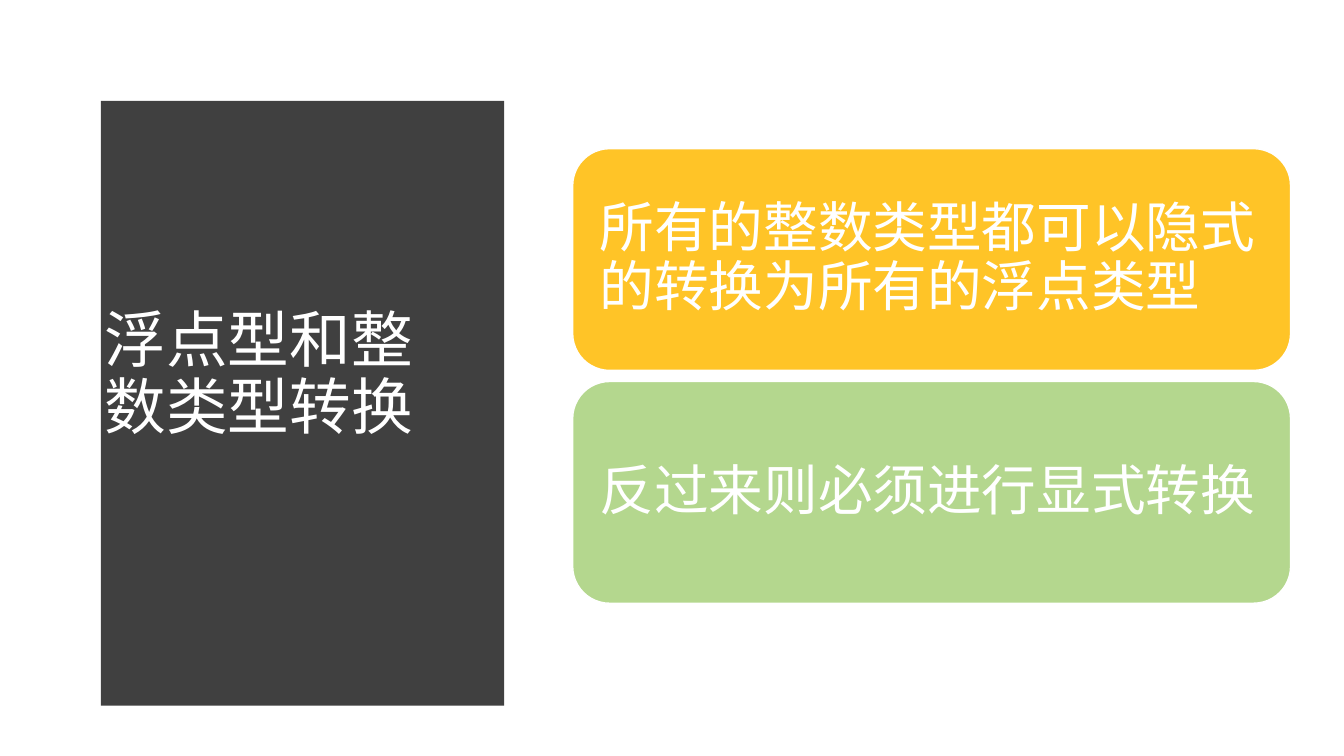
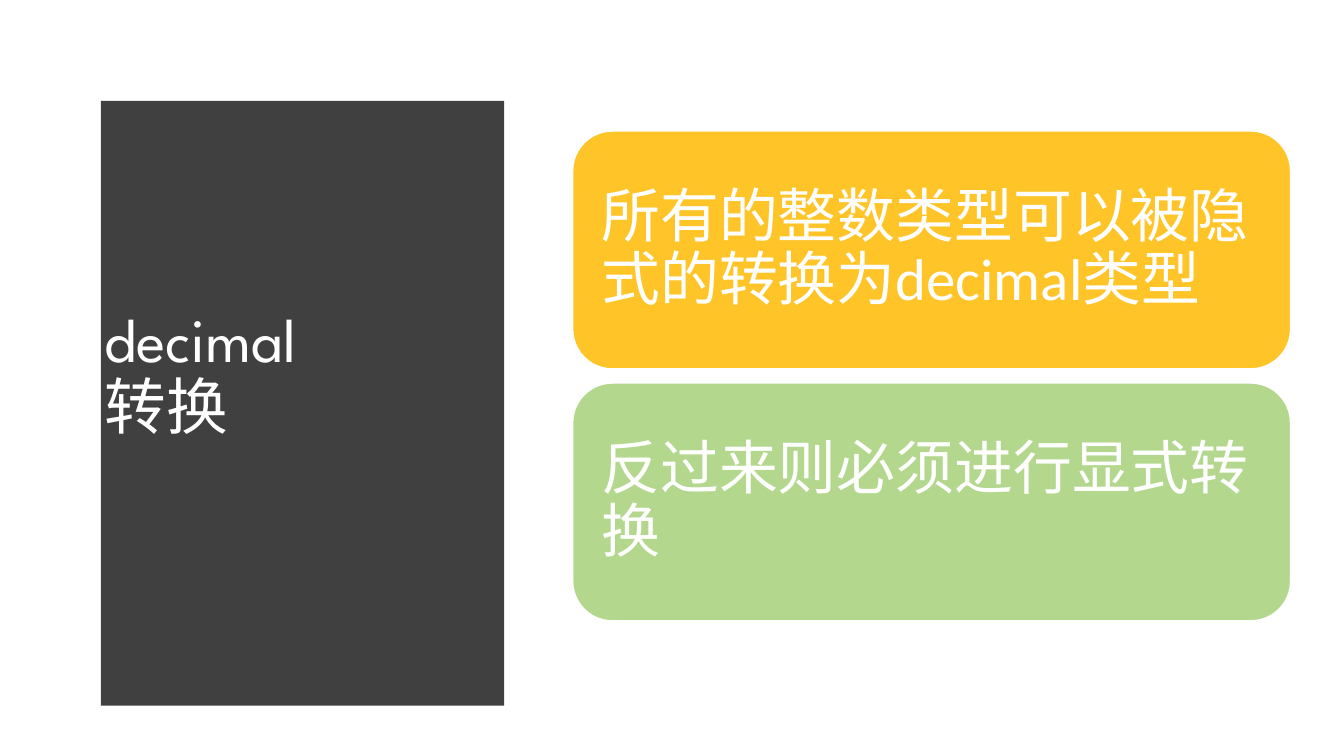
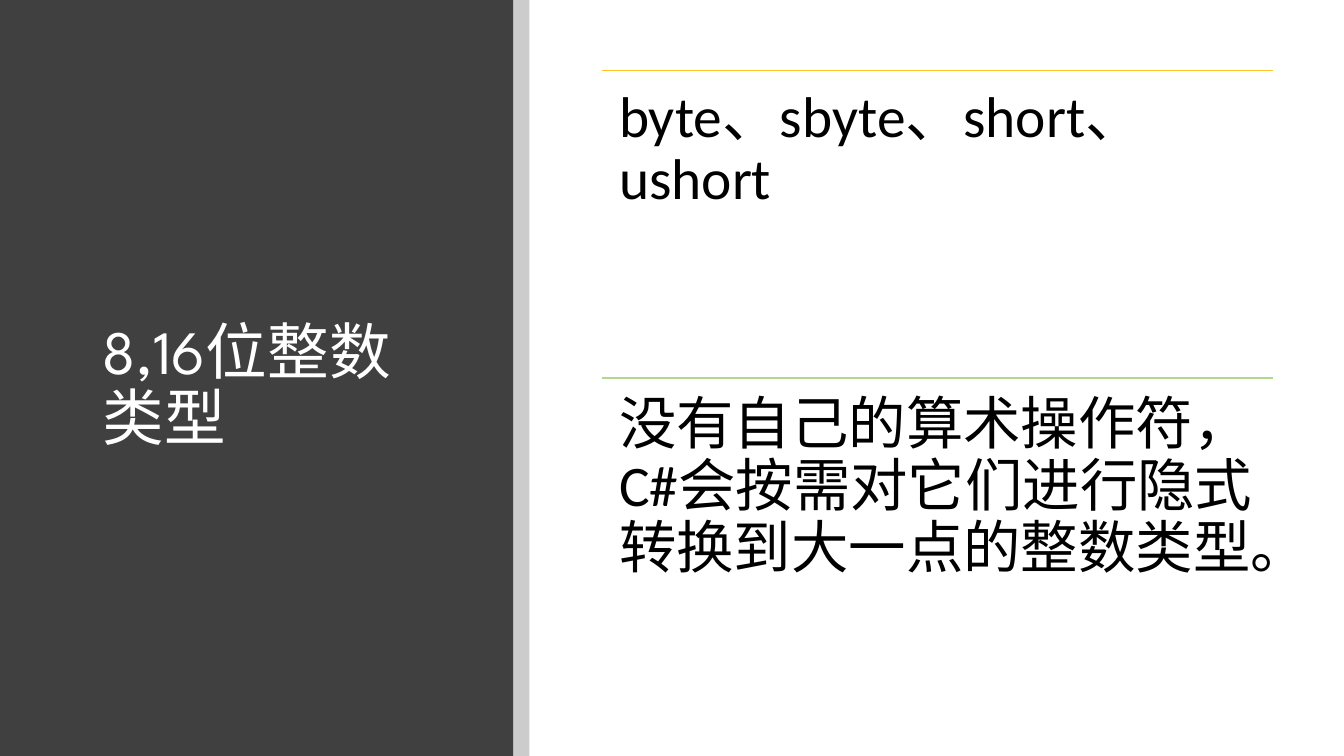
from lxml.etree import SubElement
from pptx import Presentation
from pptx.dml.color import RGBColor
from pptx.enum.shapes import MSO_CONNECTOR, MSO_SHAPE
from pptx.enum.text import MSO_ANCHOR, PP_ALIGN
from pptx.oxml.ns import qn
from pptx.util import Inches, Pt

DARK, WHITE, BLACK = "404040", "FFFFFF", "000000"
ACCENTS = ("FFC427", "B4D78E")
TITLE_FONT, BODY_FONT = "League Spartan", "Calibri"
TITLE_SIZE = 44
SLIDE_WIDTH, SLIDE_HEIGHT = 13.33, 7.5


def rgb(value):
    """Turn a hex string into a colour."""
    return RGBColor.from_string(value)


def paint(shape, fill, line=None):
    """Give a shape a flat fill, an optional thin outline and no shadow."""
    shape.shadow.inherit = False
    shape.fill.solid()
    shape.fill.fore_color.rgb = rgb(fill)
    if line:
        shape.line.color.rgb = rgb(line)
        shape.line.width = Pt(1)
    else:
        shape.line.fill.background()


def write(shape, text, size, font, color, anchor, inset=None):
    """Write one left-aligned paragraph, breaking it at each newline."""
    frame = shape.text_frame
    frame.word_wrap = True
    frame.vertical_anchor = anchor
    if inset is not None:
        frame.margin_left = frame.margin_right = Inches(inset)
        frame.margin_top = frame.margin_bottom = Inches(inset)
    paragraph = frame.paragraphs[0]
    paragraph.alignment = PP_ALIGN.LEFT
    paragraph.line_spacing = 0.9
    for index, part in enumerate(text.split("\n")):
        if index:
            paragraph.add_line_break()
        run = paragraph.add_run()
        run.text = part
        run.font.size = Pt(size)
        run.font.name = font
        run.font.color.rgb = rgb(color)


def add_text(slide, box, text, size, font, color, anchor, inset=None):
    """Add a text box at the given left, top, width and height."""
    holder = slide.shapes.add_textbox(*map(Inches, box))
    write(holder, text, size, font, color, anchor, inset)


def add_title(slide, box, text):
    """Add the white slide title on its dark panel."""
    add_text(slide, box, text, TITLE_SIZE, TITLE_FONT, WHITE, MSO_ANCHOR.MIDDLE)


def add_band(slide, left, width, fill, opacity=None):
    """Add a full-height band, optionally see-through by percent."""
    band = slide.shapes.add_shape(
        MSO_SHAPE.RECTANGLE, Inches(left), 0, Inches(width), Inches(SLIDE_HEIGHT))
    paint(band, fill)
    if opacity is not None:
        tint = band._element.spPr.find(qn("a:solidFill"))[0]
        SubElement(tint, qn("a:alpha")).set("val", str(opacity * 1000))


def add_curved_panel(slide):
    """Add the dark panel whose right edge bulges as a parabola."""
    left, top, edge, bottom, bulge, steps = 0.53, 0.52, 5.08, 6.96, 0.24, 40
    curve = []
    for step in range(steps + 1):
        t = step / steps
        curve.append((edge + 4 * bulge * t * (1 - t), top + (bottom - top) * t))
    builder = slide.shapes.build_freeform(left, top, scale=Inches(1))
    builder.add_line_segments(curve + [(left, bottom)], close=True)
    paint(builder.convert_to_shape(), DARK)


def add_card(slide, top, height, fill, text, size, inset):
    """Add a rounded card holding one statement."""
    card = slide.shapes.add_shape(
        MSO_SHAPE.ROUNDED_RECTANGLE,
        Inches(5.68), Inches(top), Inches(7.12), Inches(height))
    paint(card, fill, WHITE)
    write(card, text, size, BODY_FONT, WHITE, MSO_ANCHOR.MIDDLE, inset)


def add_rule(slide, left, top, width, color):
    """Add a thin horizontal line."""
    rule = slide.shapes.add_connector(
        MSO_CONNECTOR.STRAIGHT,
        Inches(left), Inches(top), Inches(left + width), Inches(top))
    rule.line.color.rgb = rgb(color)
    rule.line.width = Pt(1)
    SubElement(rule._element.spPr, qn("a:effectLst"))


def build_card_slide(slide, title, statements, height, gap, size, inset):
    """Build a slide with a curved title panel and stacked cards."""
    add_curved_panel(slide)
    add_title(slide, (0.94, 1.11, 3.74, 5.24), title)
    stack = len(statements) * (height + gap) - gap
    first_top = 3.73 - stack / 2
    for index, (fill, text) in enumerate(zip(ACCENTS, statements)):
        top = first_top + index * (height + gap)
        add_card(slide, top, height, fill, text, size, inset)


def build_list_slide(slide, title, statements):
    """Build a slide with a straight title panel and ruled statements."""
    add_band(slide, 0, 5.09, DARK)
    add_title(slide, (0.92, 0.89, 3.65, 5.91), title)
    add_band(slide, 5.09, 0.16, BLACK, opacity=20)
    left, first_top, width, height = 5.97, 0.7, 6.66, 3.05
    for index, (color, text) in enumerate(zip(ACCENTS, statements)):
        top = first_top + index * height
        add_rule(slide, left, top, width, color)
        add_text(slide, (left, top, width, height), text, 41, BODY_FONT,
                 BLACK, MSO_ANCHOR.TOP, 0.17)


def main():
    """Build and save the presentation."""
    deck = Presentation()
    deck.slide_width = Inches(SLIDE_WIDTH)
    deck.slide_height = Inches(SLIDE_HEIGHT)
    blank = deck.slide_layouts[6]
    explicit = "反过来则必须进行显式转换"
    build_card_slide(
        deck.slides.add_slide(blank), "浮点型和整数类型转换",
        ("所有的整数类型都可以隐式的转换为所有的浮点类型", explicit),
        height=2.2, gap=0.11, size=39, inset=0.16)
    build_card_slide(
        deck.slides.add_slide(blank), "decimal\n转换",
        ("所有的整数类型可以被隐式的转换为decimal类型", explicit),
        height=2.36, gap=0.14, size=42, inset=0.17)
    build_list_slide(
        deck.slides.add_slide(blank), "8,16位整数类型",
        ("byte、sbyte、short、ushort",
         "没有自己的算术操作符，C#会按需对它们进行隐式转换到大一点的整数类型。"))
    deck.save("out.pptx")


if __name__ == "__main__":
    main()
